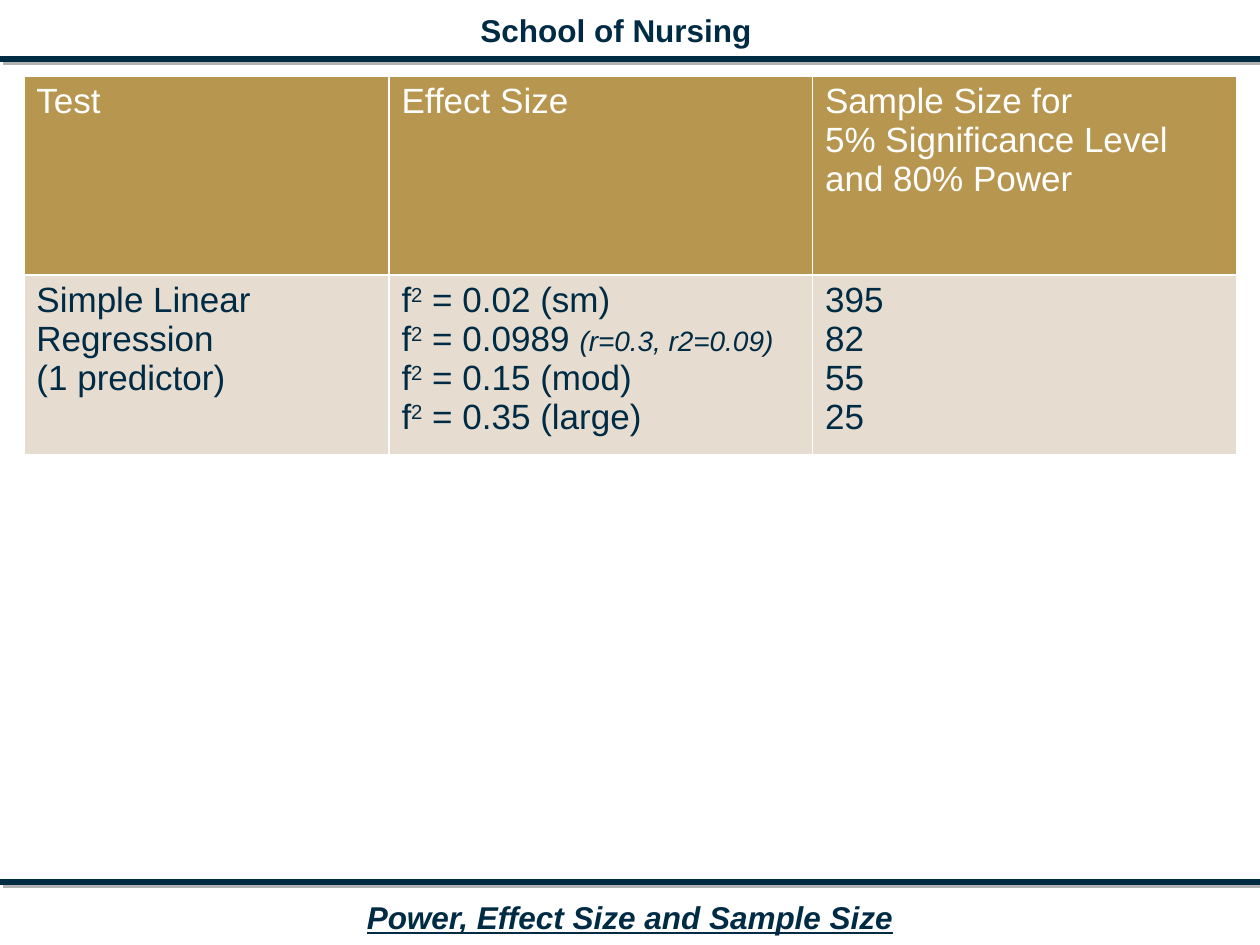
from lxml import etree
from pptx import Presentation
from pptx import util as u
from pptx.dml import color
from pptx.enum import shapes, text
from pptx.oxml import ns

NAVY, GOLD, SAND, WHITE, GREY = "002B45", "B79650", "E6DDD0", "FFFFFF", "B2B2B2"
HEAD = ["Test", "Effect Size", "Sample Size for\n5% Significance Level\nand 80% Power"]
SIZES = [("0.02 (sm)", ""), ("0.0989 ", "(r=0.3, r2=0.09)"), ("0.15 (mod)", ""), ("0.35 (large)", "")]


def rgb(code):
    """Turn a hex string into a colour."""
    return color.RGBColor.from_string(code)


def sub(node, tag, **attrs):
    """Add a drawing element under a node."""
    return etree.SubElement(node, ns.qn("a:" + tag), attrs)


def style(run, size, tone, bold=None, slant=None, under=None):
    """Set the font of a run."""
    font = run.font
    font.name, font.size, font.color.rgb = "Arial", u.Pt(size), rgb(tone)
    font.bold, font.italic, font.underline = bold, slant, under


def rule(slide, top):
    """Draw a full-width line with a hard grey shadow."""
    line = slide.shapes.add_connector(
        shapes.MSO_CONNECTOR.STRAIGHT, 0, u.Cm(top), u.Cm(25.4), u.Cm(top))
    line.line.width, line.line.color.rgb = u.Pt(3), rgb(NAVY)
    effects = sub(line._element.spPr, "effectLst")
    shade = sub(effects, "outerShdw", dist=str(u.Pt(2.8)), dir="2700000", algn="ctr", rotWithShape="0")
    sub(shade, "srgbClr", val=GREY)


def label(box, words, left, top, width, **look):
    """Place and fill a centred one-line label."""
    box.left, box.top, box.width, box.height = u.Cm(left), u.Cm(top), u.Cm(width), u.Cm(1.02)
    frame = box.text_frame
    frame.text = words
    frame.word_wrap, frame.auto_size = False, text.MSO_AUTO_SIZE.NONE
    frame.vertical_anchor = text.MSO_ANCHOR.TOP
    para = frame.paragraphs[0]
    para.alignment = text.PP_ALIGN.CENTER
    style(para.runs[0], 18, NAVY, bold=True, **look)


def paint(cell, fill):
    """Give a cell white borders and a plain fill."""
    props = cell._tc.get_or_add_tcPr()
    for side in "LRTB":
        edge = sub(props, "ln" + side, w=str(u.Pt(1)))
        sub(sub(edge, "solidFill"), "srgbClr", val=WHITE)
    cell.fill.solid()
    cell.fill.fore_color.rgb = rgb(fill)


def write(cell, words, tone):
    """Fill a cell with plain lines of text."""
    cell.text_frame.text = words
    for para in cell.text_frame.paragraphs:
        style(para.runs[0], 20, tone)


def effects(cell):
    """List the effect sizes with a raised exponent."""
    frame = cell.text_frame
    for n, (value, note) in enumerate(SIZES):
        para = frame.add_paragraph() if n else frame.paragraphs[0]
        for part in ("f", "2", " = " + value, note):
            if part:
                run = para.add_run()
                run.text = part
                style(run, 16 if part == note else 20, NAVY, slant=part == note)
                if part == "2":
                    run._r.get_or_add_rPr().set("baseline", "30000")


def grid(slide):
    """Build the sample size table."""
    table = slide.shapes.add_table(2, 3, u.Cm(0.48), u.Cm(1.53), u.Cm(24.46), u.Cm(7.64)).table
    for col, width in zip(table.columns, (7.36, 8.54, 8.56)):
        col.width = u.Cm(width)
    for row, height, fill in zip(table.rows, (4.01, 3.63), (GOLD, SAND)):
        row.height = u.Cm(height)
        for cell in row.cells:
            paint(cell, fill)
    for n, words in enumerate(HEAD):
        write(table.cell(0, n), words, WHITE)
    write(table.cell(1, 0), "Simple Linear Regression\n(1 predictor)", NAVY)
    effects(table.cell(1, 1))
    write(table.cell(1, 2), "395\n82\n55\n25", NAVY)


def main():
    """Build and save the slide."""
    deck = Presentation()
    deck.slide_width, deck.slide_height = u.Cm(25.4), u.Cm(19.05)
    slide = deck.slides.add_slide(deck.slide_layouts[5])
    for top in (1.19, 17.78):
        rule(slide, top)
    label(slide.shapes.title, "School of Nursing", 9.4, 0.1, 6.04)
    foot = slide.shapes.add_textbox(0, 0, 0, 0)
    label(foot, "Power, Effect Size and Sample Size", 7.11, 17.98, 11.18, slant=True, under=True)
    grid(slide)
    deck.save("out.pptx")


if __name__ == "__main__":
    main()
